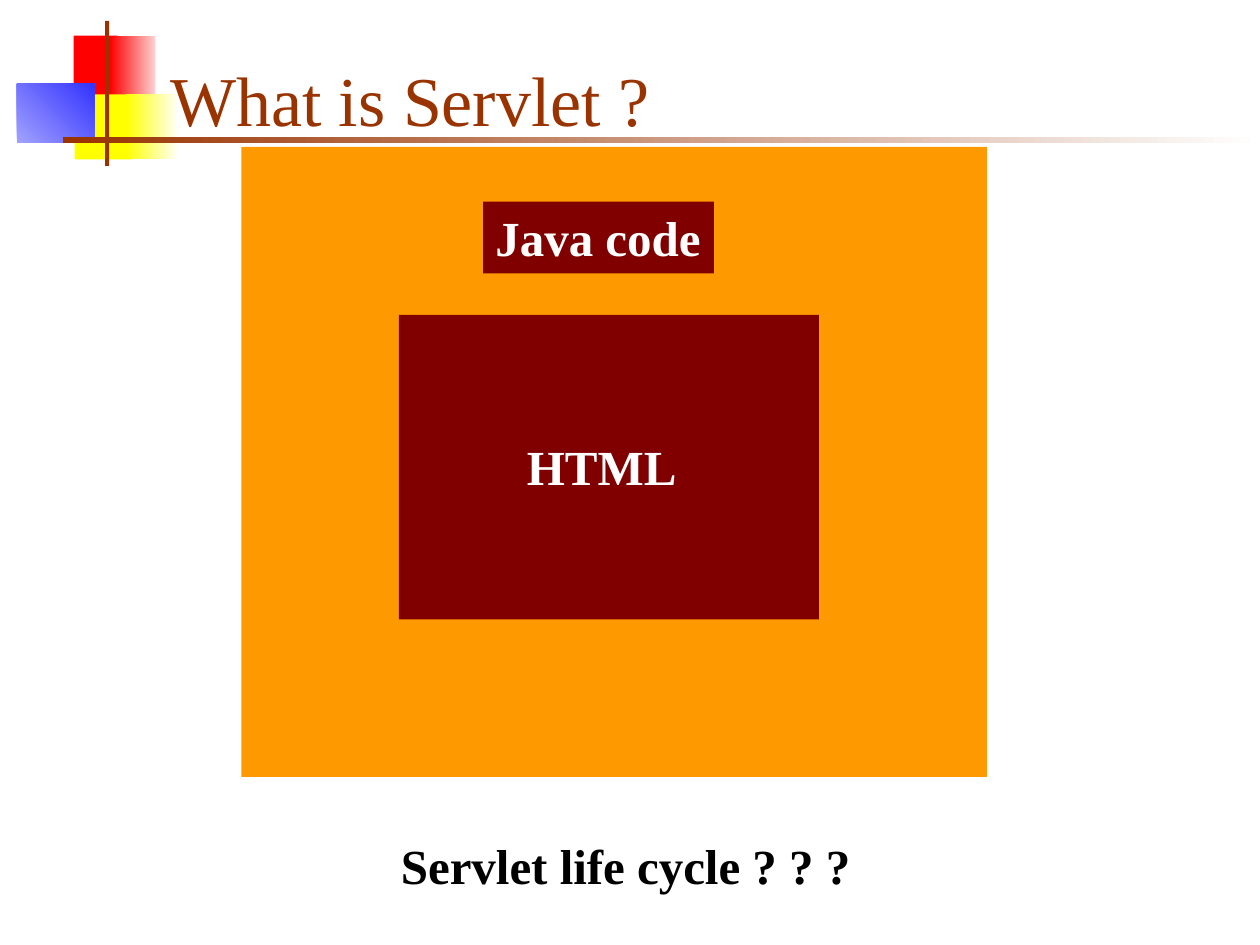
from pptx import Presentation
from pptx.dml.color import RGBColor
from pptx.enum.shapes import MSO_SHAPE
from pptx.enum.text import MSO_ANCHOR, MSO_AUTO_SIZE, PP_ALIGN
from pptx.util import Inches, Pt

COLS, ROWS = 120, 90
WIDTH, HEIGHT = Inches(10), Inches(7.5)
BROWN, MAROON, ORANGE = "993300", "800000", "FF9900"
RED, YELLOW, BLUE = "FF0000", "FFFF00", "3333FF"
WHITE, BLACK = "FFFFFF", "000000"


def rgb(value):
    return RGBColor.from_string(value)


def write(tf, text, size=28, color=BLACK, bold=False, font="Times New Roman", before=0):
    p = tf.paragraphs[0]
    p.alignment = PP_ALIGN.LEFT
    p.space_before = Pt(before)
    r = p.add_run()
    r.text = text
    r.font.name = font
    r.font.size = Pt(size)
    r.font.bold = bold
    r.font.color.rgb = rgb(color)


class Deck:
    def __init__(self, prs):
        self.slide = prs.slides.add_slide(prs.slide_layouts[5])
        self.shapes = self.slide.shapes

    def place(self, col, row, cols, rows):
        dx, dy = WIDTH / COLS, HEIGHT / ROWS
        return [round(v) for v in (col * dx, row * dy, cols * dx, rows * dy)]

    def rect(self, box, *colors, angle=0):
        sp = self.shapes.add_shape(MSO_SHAPE.RECTANGLE, *self.place(*box))
        sp.shadow.inherit = False
        sp.line.fill.background()
        if len(colors) == 1:
            sp.fill.solid()
            sp.fill.fore_color.rgb = rgb(colors[0])
        else:
            sp.fill.gradient()
            sp.fill.gradient_angle = angle
            for stop, color, position in zip(sp.fill.gradient_stops, colors, (0, 1)):
                stop.color.rgb = rgb(color)
                stop.position = position

    def title(self, box, text):
        sp = self.shapes.title
        sp.left, sp.top, sp.width, sp.height = self.place(*box)
        self.shapes.element.append(sp.element)
        tf = sp.text_frame
        tf.auto_size = MSO_AUTO_SIZE.NONE
        tf.vertical_anchor = MSO_ANCHOR.BOTTOM
        write(tf, text, size=40, color=BROWN)

    def label(self, box, text, color, fill=None):
        sp = self.shapes.add_textbox(*self.place(*box))
        if fill:
            sp.fill.solid()
            sp.fill.fore_color.rgb = rgb(fill)
        tf = sp.text_frame
        tf.word_wrap = True
        tf.auto_size = MSO_AUTO_SIZE.SHAPE_TO_FIT_TEXT
        write(tf, text, color=color, bold=True, before=17.5)


def main():
    prs = Presentation()
    prs.slide_width, prs.slide_height = WIDTH, HEIGHT
    deck = Deck(prs)

    deck.rect((7, 3.4, 4.2, 6.2), RED)
    deck.rect((10.5, 3.4, 4.3, 6.2), RED, "FFD1D1")
    deck.rect((7.1, 9, 5.5, 6.2), YELLOW)
    deck.rect((12, 9, 4.8, 6.2), YELLOW, "FFFFF0")
    deck.rect((1.6, 8, 7.4, 5.6), "A2A2FF", BLUE, angle=45)
    deck.rect((10, 2, 0.4, 13.8), BROWN)
    deck.rect((6, 13, 114, 0.6), BROWN, WHITE)

    deck.rect((23, 14, 71, 60), ORANGE)
    deck.title((15, 3, 102.2, 11), "What is Servlet ?")
    deck.rect((38, 30, 40, 29), MAROON)
    deck.label((46, 19.2, 22, 6.84), "Java code", WHITE, fill=MAROON)
    deck.label((49, 41, 18, 6.84), "HTML", WHITE)
    deck.label((37, 79, 47, 6.84), "Servlet life cycle ? ? ?", BLACK)

    prs.save("out.pptx")


if __name__ == "__main__":
    main()
